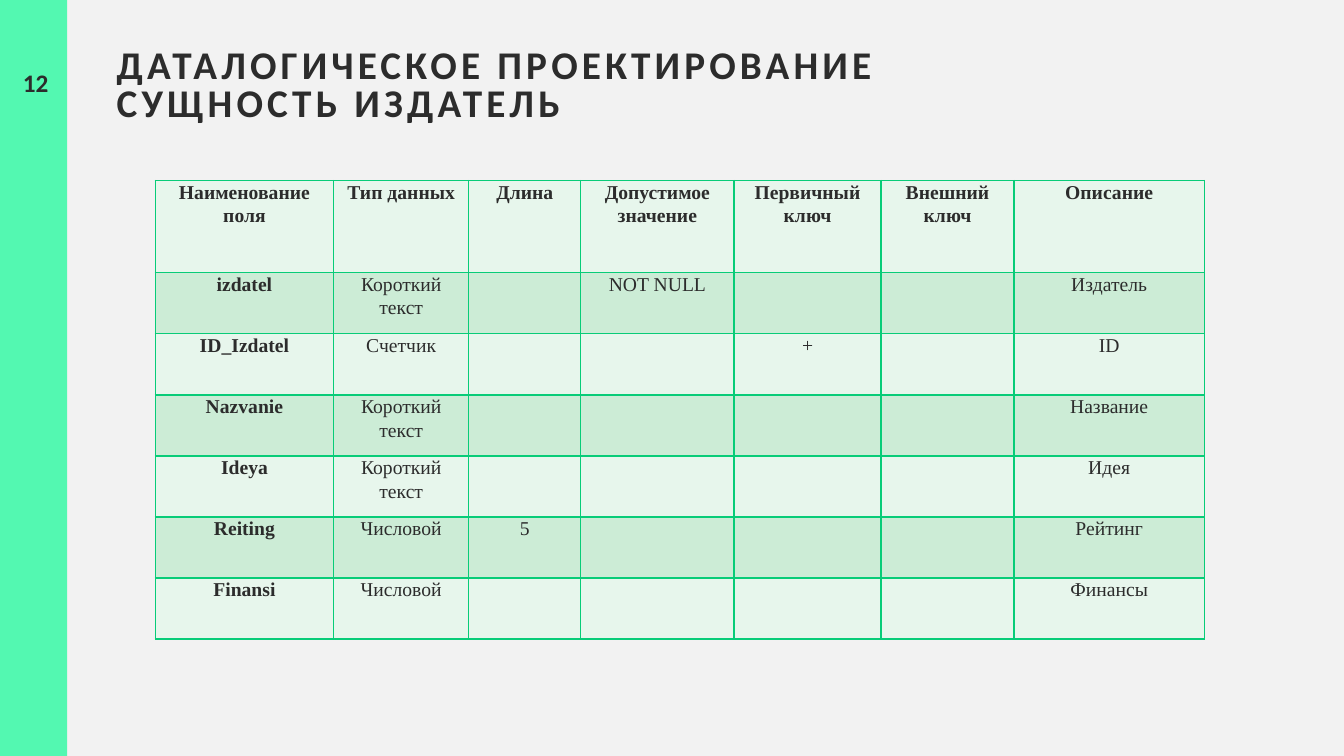
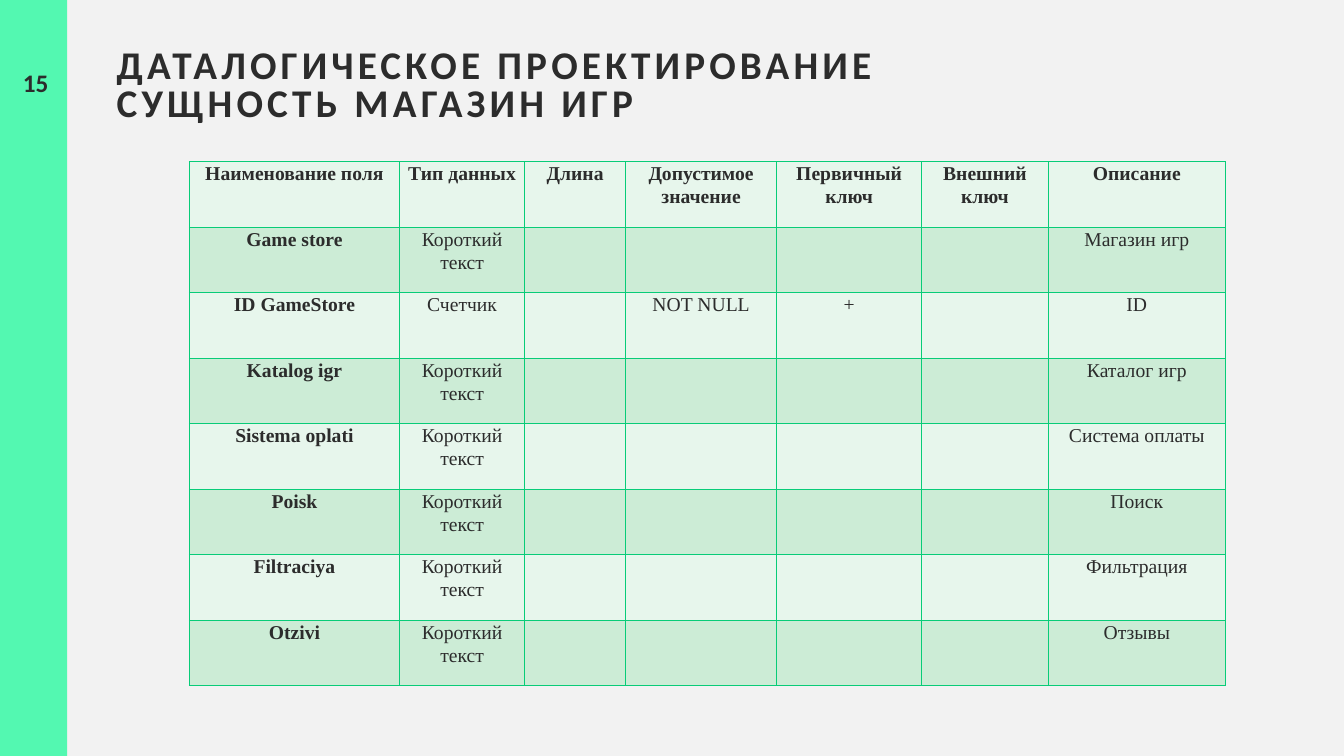
from lxml import etree
from pptx import Presentation
from pptx.dml.color import RGBColor
from pptx.enum import shapes, text
from pptx.oxml import ns
from pptx.util import Pt

COLORS = {
    "background": "F2F2F2",
    "band": "53F8B1",
    "text": "2C2C2C",
    "border": "08CC78",
    "light_row": "E7F6EC",
    "dark_row": "CCECD6",
}
SLIDE_WIDTH, SLIDE_HEIGHT = 960, 540
BAND_BOX = (0, 0, 48, SLIDE_HEIGHT)
NUMBER_BOX = (1.44, 44.64, 48, 28.8)
TITLE_BOX = (76.32, 31.68, 810.72, 84.24)

TITLE_FONT = {"name": "Calibri", "size": Pt(28), "bold": True}
NUMBER_FONT = {"name": "Calibri", "size": Pt(18), "bold": True}
CELL_FONT = {"name": "Times New Roman", "size": Pt(14)}
TITLE_PARAGRAPH = {"alignment": text.PP_ALIGN.LEFT, "line_spacing": 0.8}
NUMBER_PARAGRAPH = {"alignment": text.PP_ALIGN.CENTER}
CELL_PARAGRAPH = {"alignment": text.PP_ALIGN.CENTER, "line_spacing": 1.07}

TITLE_START = "ДАТАЛОГИЧЕСКОЕ ПРОЕКТИРОВАНИЕ"
HEADER = ("Наименование поля", "Тип данных", "Длина", "Допустимое значение",
          "Первичный ключ", "Внешний ключ", "Описание")
SHORT_TEXT = "Короткий текст"

ENTITIES = [
    {
        "number": "12",
        "title": "СУЩНОСТЬ ИЗДАТЕЛЬ",
        "origin": (110.88, 128.88),
        "columns": (127.5, 96.5, 80, 109.5, 105, 95, 136),
        "row_heights": (66, *[43.6] * 6),
        "margin": 2.88,
        "fields": [
            ("izdatel", SHORT_TEXT, "", "NOT NULL", "", "", "Издатель"),
            ("ID_Izdatel", "Счетчик", "", "", "+", "", "ID"),
            ("Nazvanie", SHORT_TEXT, "", "", "", "", "Название"),
            ("Ideya", SHORT_TEXT, "", "", "", "", "Идея"),
            ("Reiting", "Числовой", "5", "", "", "", "Рейтинг"),
            ("Finansi", "Числовой", "", "", "", "", "Финансы"),
        ],
    },
    {
        "number": "15",
        "title": "СУЩНОСТЬ МАГАЗИН ИГР",
        "origin": (135.36, 115.5),
        "columns": (150, 89.5, 72, 108, 103.5, 90.5, 126.5),
        "row_heights": (46.8,) * 8,
        "margin": 5.04,
        "fields": [
            ("Game store", SHORT_TEXT, "", "", "", "", "Магазин игр"),
            ("ID GameStore", "Счетчик", "", "NOT NULL", "+", "", "ID"),
            ("Katalog igr", SHORT_TEXT, "", "", "", "", "Каталог игр"),
            ("Sistema oplati", SHORT_TEXT, "", "", "", "", "Система оплаты"),
            ("Poisk", SHORT_TEXT, "", "", "", "", "Поиск"),
            ("Filtraciya", SHORT_TEXT, "", "", "", "", "Фильтрация"),
            ("Otzivi", SHORT_TEXT, "", "", "", "", "Отзывы"),
        ],
    },
]


def color(name):
    return RGBColor.from_string(COLORS[name])


def set_attributes(target, values):
    for name, value in values.items():
        setattr(target, name, value)


def paint(fill, name):
    fill.solid()
    fill.fore_color.rgb = color(name)


def write_line(paragraph, line, font, spacing=0):
    run = paragraph.add_run()
    run.text = line
    set_attributes(run.font, font)
    run.font.color.rgb = color("text")
    if spacing:
        run._r.get_or_add_rPr().set("spc", str(spacing * 100))


def add_text(slide, box, lines, font, paragraph_format, spacing=0):
    frame = slide.shapes.add_textbox(*map(Pt, box)).text_frame
    set_attributes(frame, {"word_wrap": True, "vertical_anchor": text.MSO_ANCHOR.TOP})
    paragraph = frame.paragraphs[0]
    set_attributes(paragraph, paragraph_format)
    for index, line in enumerate(lines):
        if index:
            paragraph.add_line_break()
        write_line(paragraph, line, font, spacing)


def add_band(slide, box):
    band = slide.shapes.add_shape(shapes.MSO_SHAPE.RECTANGLE, *map(Pt, box))
    band.shadow.inherit = False
    paint(band.fill, "band")
    band.line.fill.background()


def add_borders(cell):
    properties = cell._tc.get_or_add_tcPr()
    for index, side in enumerate(("lnL", "lnR", "lnT", "lnB")):
        line = etree.Element(ns.qn(f"a:{side}"), w=str(Pt(1)))
        fill = etree.SubElement(line, ns.qn("a:solidFill"))
        etree.SubElement(fill, ns.qn("a:srgbClr"), val=COLORS["border"])
        properties.insert(index, line)


def fill_cell(cell, value, bold, fill_name, margin):
    set_attributes(cell, {
        "margin_left": Pt(margin), "margin_right": Pt(margin),
        "margin_top": 0, "margin_bottom": 0,
        "vertical_anchor": text.MSO_ANCHOR.TOP,
    })
    paint(cell.fill, fill_name)
    add_borders(cell)
    if value:
        paragraph = cell.text_frame.paragraphs[0]
        set_attributes(paragraph, CELL_PARAGRAPH)
        write_line(paragraph, value, {**CELL_FONT, "bold": bold})


def add_field_table(slide, entity):
    rows = [HEADER, *entity["fields"]]
    columns, heights = entity["columns"], entity["row_heights"]
    box = (*entity["origin"], sum(columns), sum(heights))
    table = slide.shapes.add_table(len(rows), len(columns), *map(Pt, box)).table
    set_attributes(table, {"first_row": False, "horz_banding": False})
    for column, width in zip(table.columns, columns):
        column.width = Pt(width)
    for row_index, (row, height, values) in enumerate(zip(table.rows, heights, rows)):
        row.height = Pt(height)
        fill_name = "dark_row" if row_index % 2 else "light_row"
        for column_index, (cell, value) in enumerate(zip(row.cells, values)):
            bold = row_index == 0 or column_index == 0
            fill_cell(cell, value, bold, fill_name, entity["margin"])


def add_entity_slide(presentation, entity):
    slide = presentation.slides.add_slide(presentation.slide_layouts[6])
    paint(slide.background.fill, "background")
    add_band(slide, BAND_BOX)
    add_text(slide, TITLE_BOX, (TITLE_START, entity["title"]),
             TITLE_FONT, TITLE_PARAGRAPH, spacing=3)
    add_text(slide, NUMBER_BOX, (entity["number"],), NUMBER_FONT, NUMBER_PARAGRAPH)
    add_field_table(slide, entity)


def main():
    presentation = Presentation()
    set_attributes(presentation, {"slide_width": Pt(SLIDE_WIDTH),
                                  "slide_height": Pt(SLIDE_HEIGHT)})
    for entity in ENTITIES:
        add_entity_slide(presentation, entity)
    presentation.save("out.pptx")


if __name__ == "__main__":
    main()
